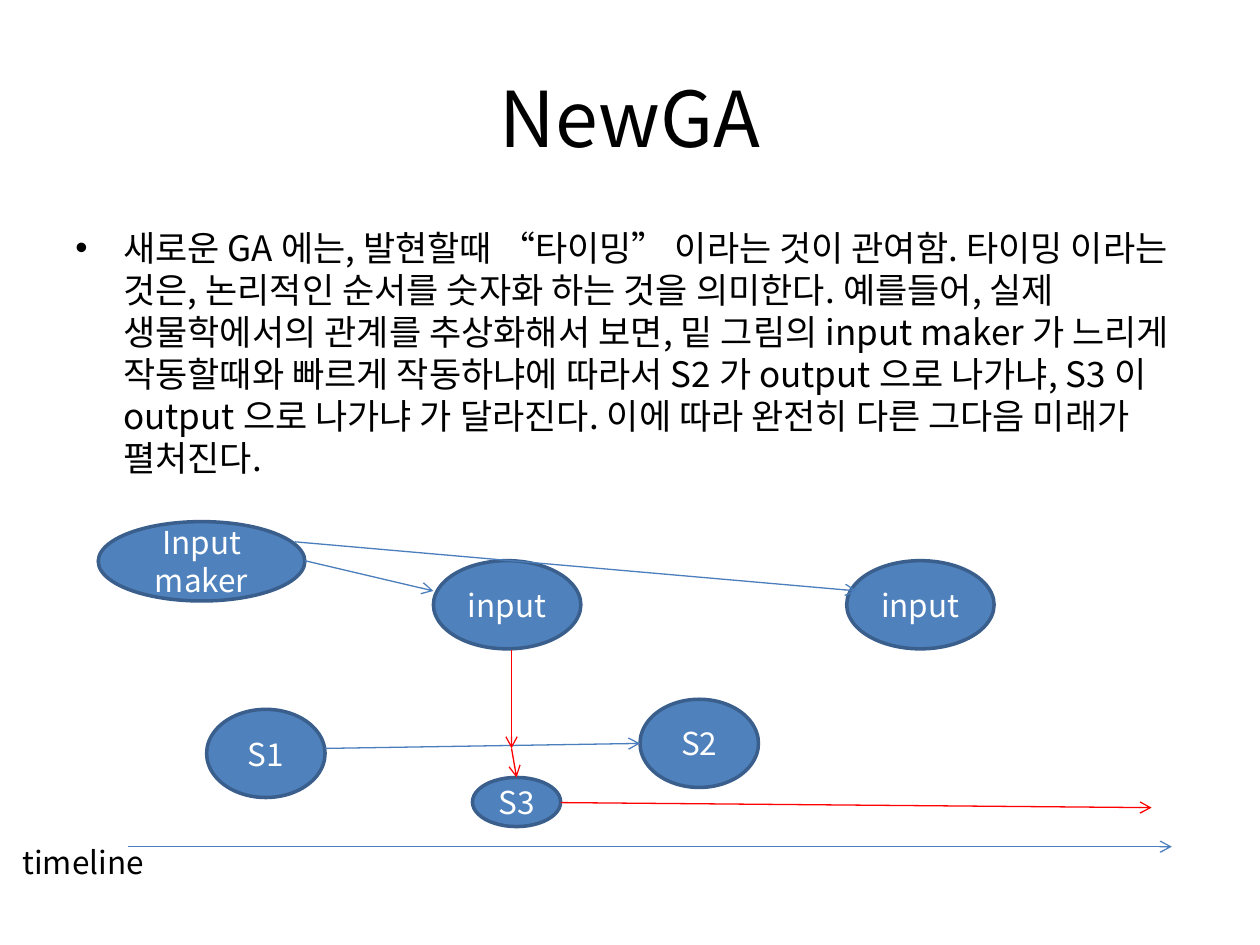
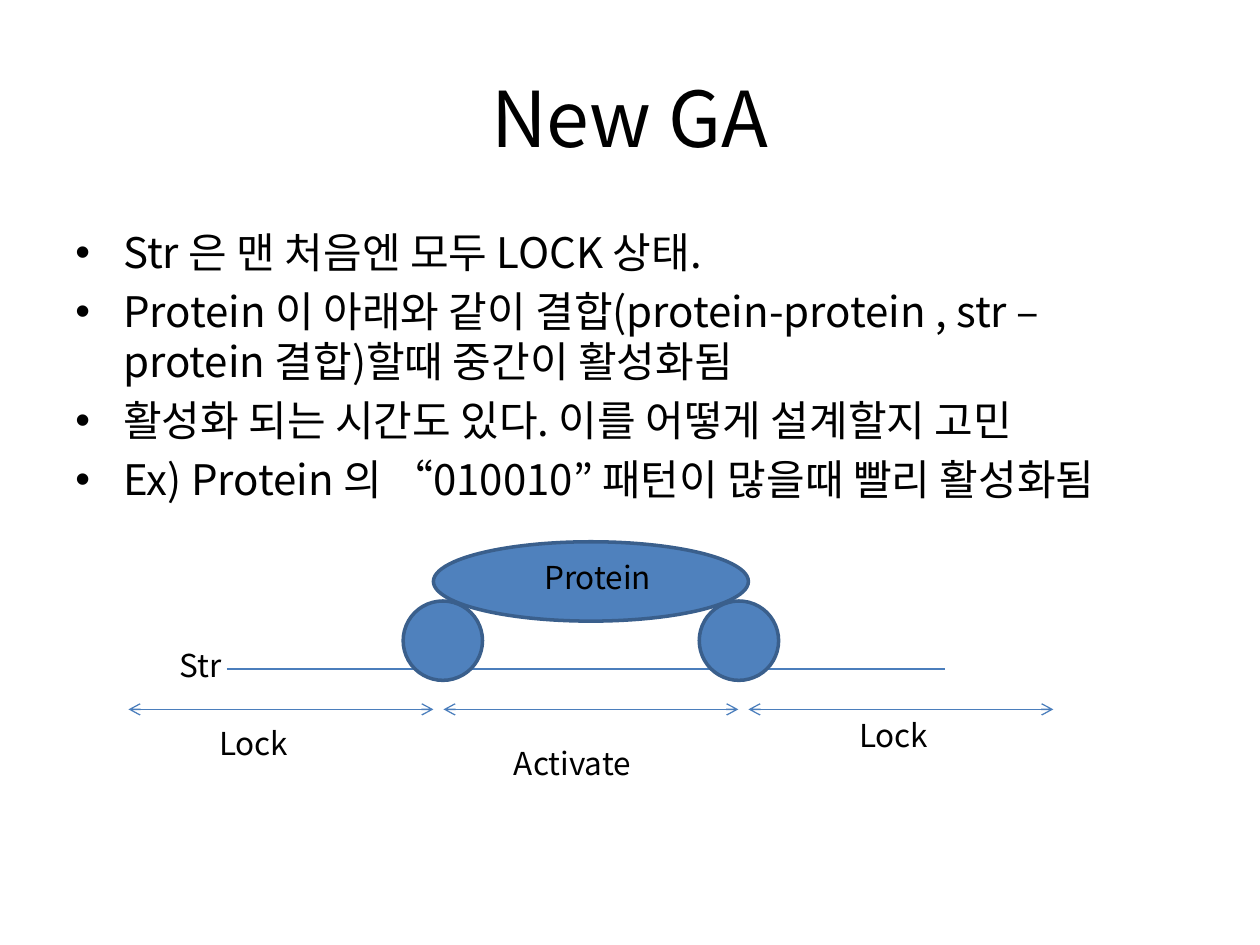
from lxml import etree
from pptx import Presentation
from pptx.dml.color import RGBColor
from pptx.enum import shapes, text
from pptx.oxml import ns
from pptx.util import Inches, Pt

FONT = "Noto Sans CJK KR"
BLACK = RGBColor(0x00, 0x00, 0x00)
WHITE = RGBColor(0xFF, 0xFF, 0xFF)
NODE_FILL = RGBColor(0x4F, 0x81, 0xBD)
NODE_EDGE = RGBColor(0x3A, 0x5F, 0x8C)
FLOW = RGBColor(0x4B, 0x7E, 0xBC)
TRIGGER = RGBColor(0xFF, 0x00, 0x00)
TITLE_SIZE, LABEL_SIZE = 44, 18
TITLE_ONLY = 5


def add_xml(parent, tag, **attributes):
    return etree.SubElement(parent, ns.qn(tag), attributes)


class Deck:
    """Shared style and the slide being drawn."""

    def __init__(self):
        self.file = Presentation()
        self.file.slide_width, self.file.slide_height = Inches(10), Inches(7.5)
        self.slide = None

    def add_words(self, paragraph, words, size, color=BLACK, align=text.PP_ALIGN.LEFT):
        paragraph.alignment = align
        run = paragraph.add_run()
        run.text = words
        run.font.size = Pt(size)
        run.font.color.rgb = color
        run.font.name = FONT
        add_xml(run.font._element, "a:ea", typeface=FONT)

    def start(self, heading):
        self.slide = self.file.slides.add_slide(self.file.slide_layouts[TITLE_ONLY])
        title = self.slide.shapes.title
        title.left, title.top = Inches(0.5), Inches(0.3)
        title.width, title.height = Inches(9), Inches(1.25)
        title.text_frame.vertical_anchor = text.MSO_ANCHOR.MIDDLE
        self.add_words(title.text_frame.paragraphs[0], heading, TITLE_SIZE,
                       align=text.PP_ALIGN.CENTER)

    def text_box(self, left, top, width, height):
        box = self.slide.shapes.add_textbox(
            Inches(left), Inches(top), Inches(width), Inches(height))
        box.text_frame.word_wrap = True
        return box.text_frame

    def bullets(self, points, size):
        body = self.text_box(0.5, 1.75, 9, 4.95)
        for index, point in enumerate(points):
            paragraph = body.add_paragraph() if index else body.paragraphs[0]
            paragraph.space_before = Pt(size * 0.2)
            self.add_words(paragraph, point, size)
            properties = paragraph._p.get_or_add_pPr()
            properties.set("marL", str(Inches(0.38)))
            properties.set("indent", str(Inches(-0.38)))
            add_xml(properties, "a:buFont", typeface="Arial")
            add_xml(properties, "a:buChar", char="•")

    def label(self, words, left, top, width=1.41):
        frame = self.text_box(left, top, width, 0.4)
        self.add_words(frame.paragraphs[0], words, LABEL_SIZE)

    def node(self, left, top, width, height, words=""):
        oval = self.slide.shapes.add_shape(
            shapes.MSO_SHAPE.OVAL,
            Inches(left), Inches(top), Inches(width), Inches(height))
        oval.shadow.inherit = False
        oval.fill.solid()
        oval.fill.fore_color.rgb = NODE_FILL
        oval.line.color.rgb = NODE_EDGE
        oval.line.width = Pt(2)
        if words:
            oval.text_frame.word_wrap = True
            oval.text_frame.vertical_anchor = text.MSO_ANCHOR.MIDDLE
            self.add_words(oval.text_frame.paragraphs[0], words, LABEL_SIZE, WHITE,
                           text.PP_ALIGN.CENTER)

    def line(self, start, end, color=FLOW, arrows=("tailEnd",)):
        connector = self.slide.shapes.add_connector(
            shapes.MSO_CONNECTOR.STRAIGHT, *map(Inches, start + end))
        connector.line.color.rgb = color
        connector.line.width = Pt(0.75)
        properties = connector._element.spPr
        for arrow in arrows:
            add_xml(properties.find(ns.qn("a:ln")), f"a:{arrow}", type="arrow")
        add_xml(properties, "a:effectLst")


def timing_slide(deck):
    deck.start("NewGA")
    deck.bullets([
        "새로운 GA 에는, 발현할때 “타이밍” 이라는 것이 관여함. 타이밍 이라는 것은, "
        "논리적인 순서를 숫자화 하는 것을 의미한다. 예를들어, 실제 생물학에서의 관계를 "
        "추상화해서 보면, 밑 그림의 input maker 가 느리게 작동할때와 빠르게 작동하냐에 "
        "따라서 S2 가 output 으로 나가냐, S3 이 output 으로 나가냐 가 달라진다. "
        "이에 따라 완전히 다른 그다음 미래가 펼처진다."], 20)

    # States and the timeline
    deck.node(1.64, 5.63, 0.94, 0.7, "S1")
    deck.node(5.08, 5.55, 0.94, 0.7, "S2")
    deck.line((2.58, 5.94), (5.08, 5.9))
    deck.line((1.02, 6.72), (9.3, 6.72))
    deck.label("timeline", 0.08, 6.64, 1.33)

    # Early and late input
    for input_left in (3.44, 6.72):
        deck.node(input_left, 4.45, 1.17, 0.7, "input")

    # Early input diverts the flow to S3
    crossing = (4.06, 5.94)
    deck.line((4.06, 5.16), crossing, TRIGGER)
    deck.node(3.75, 6.17, 0.7, 0.39, "S3")
    deck.line((4.45, 6.37), (9.14, 6.41), TRIGGER)
    deck.line(crossing, (4.1, 6.17), TRIGGER)

    # Input maker
    deck.node(0.78, 4.14, 1.64, 0.63, "Input maker")
    deck.line((2.42, 4.45), (3.44, 4.69))
    deck.line((2.34, 4.3), (6.8, 4.69))


def locking_slide(deck):
    deck.start("New GA")
    deck.bullets([
        "Str 은 맨 처음엔 모두 LOCK 상태.",
        "Protein 이 아래와 같이 결합(protein-protein , str – protein 결합)할때 "
        "중간이 활성화됨",
        "활성화 되는 시간도 있다. 이를 어떻게 설계할지 고민",
        "Ex) Protein 의 “010010” 패턴이 많을때 빨리 활성화됨"], 24)

    # Protein bound to the string at two sites
    deck.line((1.8, 5.31), (7.5, 5.31), arrows=())
    for site_left in (3.2, 5.55):
        deck.node(site_left, 4.77, 0.63, 0.63)
    deck.node(3.44, 4.3, 2.5, 0.63)
    deck.label("Str", 1.33, 5.08)
    deck.label("Protein", 4.22, 4.38, 1.32)

    # Locked and active ranges: name, start, end, label position
    for name, start, end, left, top in (
            ("Lock", 1.02, 3.44, 1.64, 5.7),
            ("Activate", 3.52, 5.86, 3.98, 5.86),
            ("Lock", 5.94, 8.36, 6.72, 5.63)):
        deck.line((start, 5.63), (end, 5.63), arrows=("headEnd", "tailEnd"))
        deck.label(name, left, top)


def main():
    deck = Deck()
    timing_slide(deck)
    locking_slide(deck)
    deck.file.save("out.pptx")


if __name__ == "__main__":
    main()
